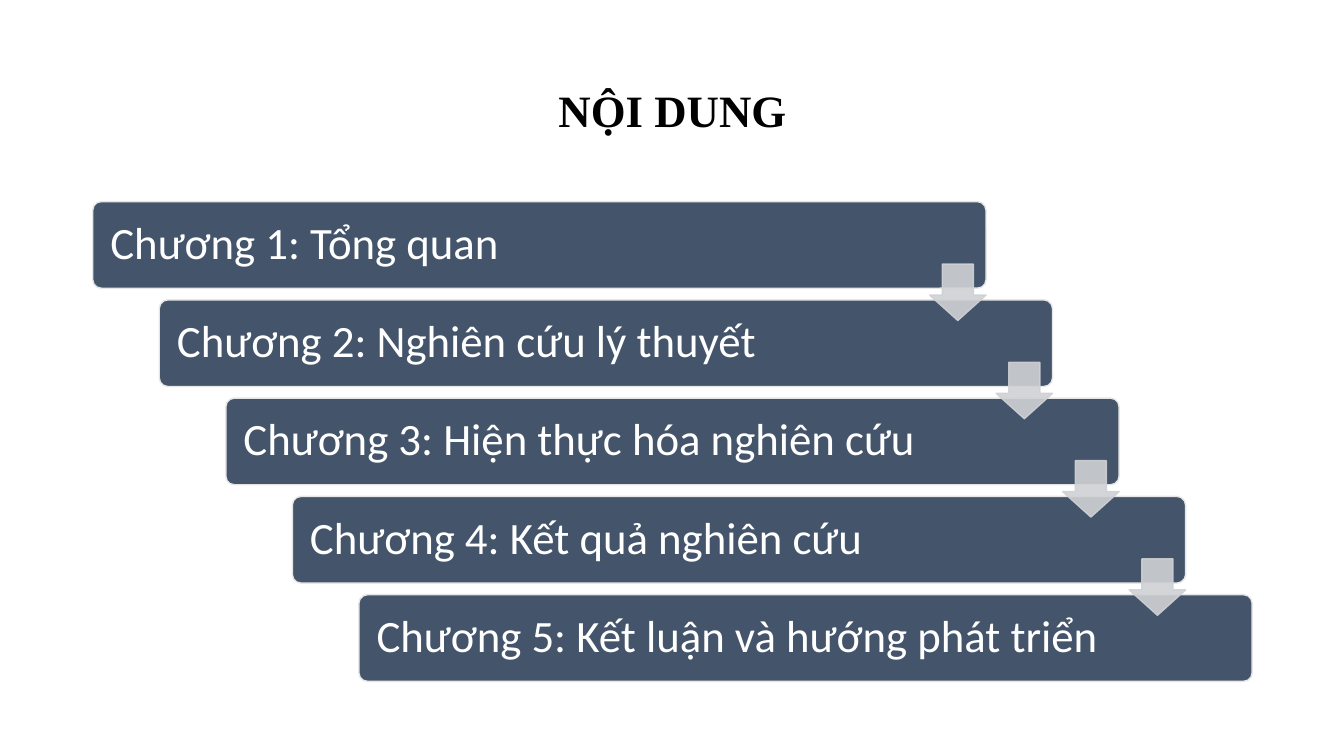
from lxml import etree
from pptx import Presentation
from pptx import util as u
from pptx.dml import color
from pptx.enum import shapes, text
from pptx.oxml import ns

CHAPTERS = [
    "Chương 1: Tổng quan",
    "Chương 2: Nghiên cứu lý thuyết",
    "Chương 3: Hiện thực hóa nghiên cứu",
    "Chương 4: Kết quả nghiên cứu",
    "Chương 5: Kết luận và hướng phát triển",
]
BAR_WIDTH, BAR_HEIGHT = 8.86, 0.86
ARROW_SIZE = 0.56
ARROW_DROP = 0.62


def rgb(hex_color):
    return color.RGBColor.from_string(hex_color)


def format_text(frame, font_name, hex_color, alignment, bold=False):
    frame.word_wrap = True
    frame.auto_size = text.MSO_AUTO_SIZE.NONE
    frame.vertical_anchor = text.MSO_ANCHOR.MIDDLE
    paragraph = frame.paragraphs[0]
    paragraph.alignment = alignment
    paragraph.line_spacing = 0.9
    font = paragraph.runs[0].font
    font.name, font.size, font.bold = font_name, u.Pt(32), bold
    font.color.rgb = rgb(hex_color)


def add_filled_shape(slide, kind, box, fill, line, adjustments):
    shape = slide.shapes.add_shape(kind, *map(u.Inches, box))
    shape.shadow.inherit = False
    for index, value in enumerate(adjustments):
        shape.adjustments[index] = value
    shape.fill.solid()
    shape.fill.fore_color.rgb = rgb(fill)
    shape.line.color.rgb = rgb(line)
    shape.line.width = u.Pt(1)
    return shape


def add_title(slide, box, wording):
    title = slide.shapes.title
    title.left, title.top, title.width, title.height = map(u.Inches, box)
    title.text_frame.text = wording
    format_text(title.text_frame, "Times New Roman", "000000",
                text.PP_ALIGN.CENTER, bold=True)


def add_chapter_bar(slide, left, top, wording):
    bar = add_filled_shape(slide, shapes.MSO_SHAPE.ROUNDED_RECTANGLE,
                           (left, top, BAR_WIDTH, BAR_HEIGHT),
                           "44546A", "E7E6E6", [0.1])
    frame = bar.text_frame
    frame.text = wording
    frame.margin_left = frame.margin_right = u.Inches(0.15)
    format_text(frame, "Calibri", "FFFFFF", text.PP_ALIGN.LEFT)


def add_arrow(slide, left, top):
    arrow = add_filled_shape(slide, shapes.MSO_SHAPE.DOWN_ARROW,
                             (left, top, ARROW_SIZE, ARROW_SIZE),
                             "CFD1D4", "CFD1D4", [0.55, 0.45])
    for solid_color in arrow.element.spPr.iter(ns.qn("a:srgbClr")):
        etree.SubElement(solid_color, ns.qn("a:alpha"), val="90000")


def add_staircase(slide, box, chapters):
    """Spread the bars diagonally over the box, with an arrow between steps."""
    left, top, width, height = box
    gaps = len(chapters) - 1
    step_x = (width - BAR_WIDTH) / gaps
    step_y = (height - BAR_HEIGHT) / gaps
    corners = [(left + i * step_x, top + i * step_y)
               for i in range(len(chapters))]
    for (bar_left, bar_top), chapter in zip(corners, chapters):
        add_chapter_bar(slide, bar_left, bar_top, chapter)
    for bar_left, bar_top in corners[:-1]:
        add_arrow(slide, bar_left + BAR_WIDTH - ARROW_SIZE,
                  bar_top + ARROW_DROP)


def main():
    presentation = Presentation()
    presentation.slide_width = u.Inches(13.33)
    presentation.slide_height = u.Inches(7.5)
    slide = presentation.slides.add_slide(presentation.slide_layouts[5])
    add_title(slide, (0.92, 0.4, 11.5, 1.45), "NỘI DUNG")
    add_staircase(slide, (0.92, 2, 11.5, 4.76), CHAPTERS)
    presentation.save("out.pptx")


if __name__ == "__main__":
    main()
